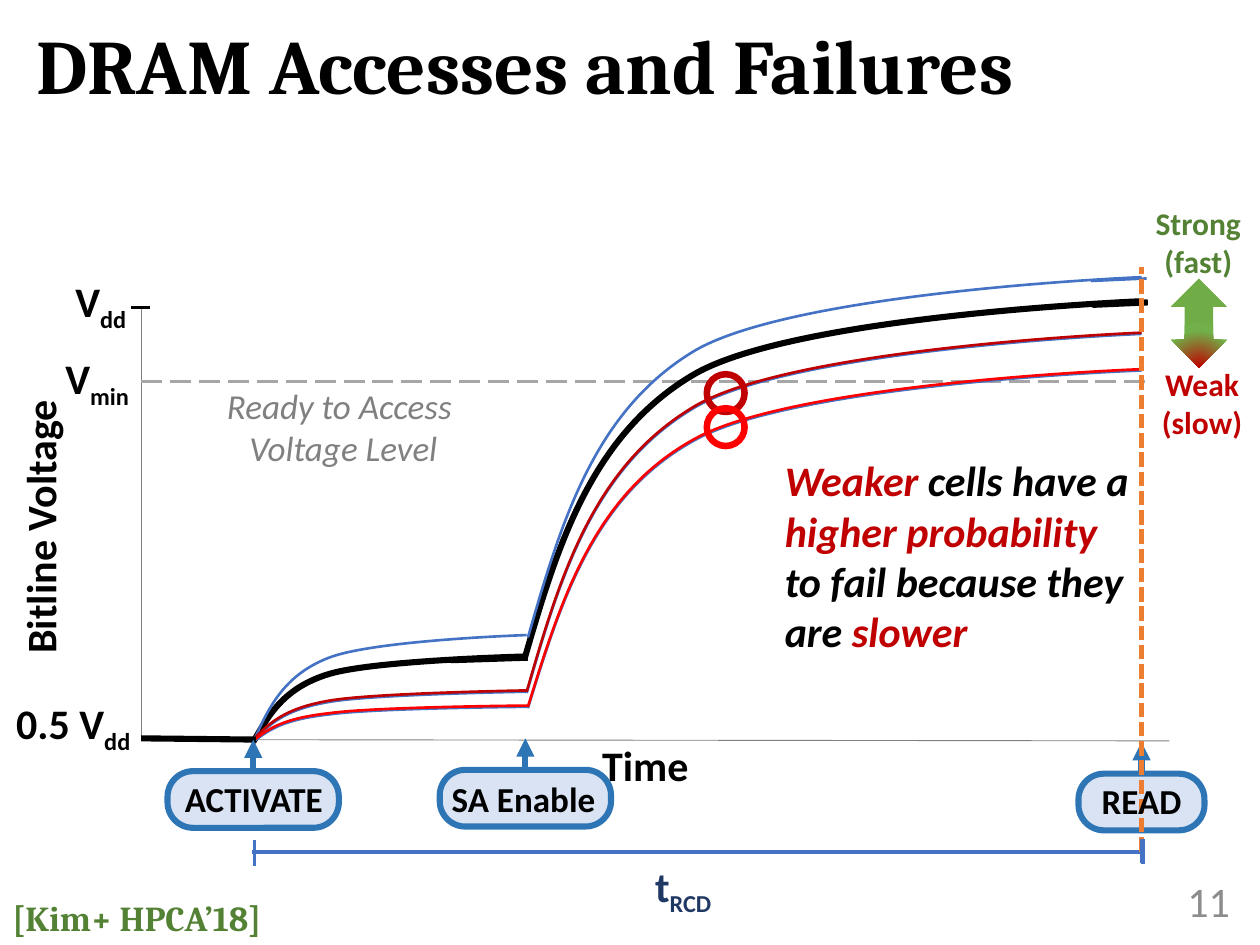
"""Build the slide on DRAM accesses, bitline voltage curves and weak cells."""
from dataclasses import dataclass

from lxml import etree
from pptx import Presentation
from pptx.dml.color import RGBColor
from pptx.enum.dml import MSO_LINE
from pptx.enum.shapes import MSO_CONNECTOR, MSO_SHAPE
from pptx.enum.text import MSO_ANCHOR, PP_ALIGN
from pptx.oxml import parse_xml
from pptx.oxml.ns import nsdecls, qn
from pptx.util import Pt

PX = 9144
STRAIGHT = MSO_CONNECTOR.STRAIGHT
LONG_DASH, SHORT_DASH = MSO_LINE.LONG_DASH, MSO_LINE.SQUARE_DOT
LEFT, CENTER, RIGHT = PP_ALIGN.LEFT, PP_ALIGN.CENTER, PP_ALIGN.RIGHT
TOP, MIDDLE = MSO_ANCHOR.TOP, MSO_ANCHOR.MIDDLE


@dataclass(frozen=True)
class Theme:
    heading: str = "Cambria"
    body: str = "Calibri"
    black: str = "000000"
    axis: str = "808080"
    threshold: str = "A6A6A6"
    page: str = "8C8C8C"
    blue: str = "4472C4"
    navy: str = "203864"
    pill_line: str = "2E75B6"
    pill_fill: str = "DAE3F3"
    orange: str = "ED7D31"
    weak: str = "C00000"
    weakest: str = "FF0000"
    strong: str = "548235"
    arrow_mid: str = "72B149"
    arrow_end: str = "70AD47"
    title_size: int = 44
    label_size: int = 24
    small_size: int = 20
    strength_size: int = 18
    thick: float = 3.5
    thin: float = 1.5
    bracket: float = 2.25


T = Theme()

TYPICAL = [
    [(201, 589), (213, 568), (225, 546), (261, 535), (297, 524), (418, 521), (418, 521)],
    [(416, 524), (442, 434), (469, 345), (551, 297), (632, 250), (907, 239), (907, 239)],
]
STRONG = [
    [(201, 589), (213, 562), (225, 536), (261, 522), (297, 508), (418, 504), (418, 504)],
    [(419, 506), (445, 416), (471, 326), (552, 278), (634, 231), (906, 220), (906, 220)],
]
WEAK = [
    [(203, 585), (214, 574), (226, 562), (262, 556), (298, 550), (418, 548), (418, 548)],
    [(418, 549), (444, 459), (470, 370), (552, 322), (633, 275), (906, 264), (906, 264)],
]
WEAKEST = [
    [(202, 587), (214, 578), (225, 570), (262, 566), (298, 561), (420, 560), (420, 560)],
    [(419, 561), (445, 477), (471, 392), (552, 348), (634, 303), (906, 293), (906, 293)],
]
CURVES = [
    (TYPICAL, T.black, T.thick, 0),
    (STRONG, T.blue, T.thin, 0),
    (WEAK, T.blue, T.thin, 1),
    (WEAKEST, T.blue, T.thin, 1),
    (WEAK, T.weak, T.thin, 0),
    (WEAKEST, T.weakest, T.thin, 0),
]
AXES = [
    ((112, 244), (112, 588), T.axis, 0.5, None),
    ((928, 588), (112, 587), T.axis, 0.5, None),
    ((119, 244), (104, 244), T.black, 1.25, None),
    ((112, 303), (911, 303), T.threshold, T.thin, LONG_DASH),
]
CURVE_ENDS = [
    ((203, 587), (112, 586), T.black, T.thick, None),
    ((358, 524), (419, 522), T.black, T.thick, None),
    ((867, 242), (911, 240), T.black, T.thick, None),
    ((866, 223), (910, 221), T.blue, T.thin, None),
]
TIMING = [
    ((200, 676), (905, 676), T.blue, T.bracket, None),
    ((202, 667), (202, 687), T.blue, T.bracket, None),
    ((907, 666), (907, 686), T.blue, T.bracket, None),
    ((906, 676), (906, 212), T.orange, 2.75, SHORT_DASH),
    ((906, 666), (906, 685), T.blue, T.bracket, None),
]
COMMANDS = [
    ("ACTIVATE", (133, 612, 136, 45), (136, 612, 131, 44)),
    ("SA Enable", (349, 611, 136, 45), (348, 612, 135, 44)),
    ("READ", (856, 614, 100, 45), (864, 614, 84, 44)),
]
FAILURES = [((561, 297, 30, 30), T.weak), ((561, 324, 30, 30), T.weakest)]
VOLTAGES = [
    ("V", "dd", (50, 214, 63, 50), T.black),
    ("V", "min", (42, 275, 75, 50), T.black),
    ("0.5 V", "dd", (3, 549, 113, 50), T.black),
    ("t", "RCD", (510, 678, 71, 50), T.navy),
]
STRENGTHS = [
    (["Weak", "(slow)"], (912, 285, 84, 71), T.weak),
    (["Strong", "(fast)"], (907, 157, 88, 71), T.strong),
]
MESSAGE = [
    ("Weaker ", T.weak), ("cells have a ", T.black), ("higher probability", T.weak),
    (" to fail because they are ", T.black), ("slower", T.weak),
]
ARROW_BOX = (929, 221, 45, 71)
ARROW_STOPS = [(0, T.weak), (70, T.arrow_mid), (100, T.arrow_end)]

deck = Presentation()
deck.slide_width, deck.slide_height = 1000 * PX, 750 * PX
slide = deck.slides.add_slide(deck.slide_layouts[6])
shapes = slide.shapes


def rgb(color):
    return RGBColor.from_string(color)


def scaled(box):
    return [length * PX for length in box]


def stroke(line, color, width):
    line.color.rgb = rgb(color)
    line.width = Pt(width)


def set_font(font, size, color, bold=True, italic=False, face=T.body):
    font.name, font.size, font.bold, font.italic = face, Pt(size), bold, italic
    font.color.rgb = rgb(color)


def segment(start, end, color, width, dash=None, arrow=False):
    connector = shapes.add_connector(STRAIGHT, *scaled(start + end))
    stroke(connector.line, color, width)
    if dash:
        connector.line.dash_style = dash
    properties = connector.line._get_or_add_ln()
    if arrow:
        etree.SubElement(properties, qn("a:tailEnd"), type="triangle")
    etree.SubElement(properties.getparent(), qn("a:effectLst"))


def curve(knots, color, width, drop):
    knots = [(x, y + drop) for x, y in knots]
    builder = shapes.build_freeform(*knots[0], scale=PX)
    builder.add_line_segments(knots[1:], close=False)
    trace = builder.convert_to_shape()
    outline = next(trace._element.iter(qn("a:path")))
    legs = outline.findall(qn("a:lnTo"))
    for first in range(0, len(legs), 3):
        bend = etree.SubElement(outline, qn("a:cubicBezTo"))
        for leg in legs[first:first + 3]:
            bend.append(leg[0])
            outline.remove(leg)
    trace.shadow.inherit = False
    trace.fill.background()
    stroke(trace.line, color, width)


def preset(kind, box):
    shape = shapes.add_shape(kind, *scaled(box))
    shape.shadow.inherit = False
    return shape


def label(lines, box, size, color, align=LEFT, anchor=TOP, wrap=False, spacing=None, **style):
    textbox = shapes.add_textbox(*scaled(box))
    frame = textbox.text_frame
    frame.word_wrap, frame.vertical_anchor = wrap, anchor
    frame.text = "\n".join(lines)
    for paragraph in frame.paragraphs:
        paragraph.alignment, paragraph.line_spacing = align, spacing
        set_font(paragraph.font, size, color, **style)
    return textbox


for axis in AXES:
    segment(*axis)
for phases, color, width, drop in CURVES:
    for phase in phases:
        curve(phase, color, width, drop)
for curve_end in CURVE_ENDS:
    segment(*curve_end)

label(["Time"], (468, 582, 89, 50), T.label_size, T.black)
for command, pill_box, text_box in COMMANDS:
    left, top, width, height = pill_box
    middle = left + width // 2
    segment((middle, top), (middle, top - 25), T.pill_line, T.thick, arrow=True)
    pill = preset(MSO_SHAPE.ROUNDED_RECTANGLE, pill_box)
    pill.adjustments[0] = 0.45
    pill.fill.solid()
    pill.fill.fore_color.rgb = rgb(T.pill_fill)
    stroke(pill.line, T.pill_line, T.thick)
for mark in TIMING:
    segment(*mark)
for command, pill_box, text_box in COMMANDS:
    label([command], text_box, T.small_size, T.black, CENTER)

for base, subscript, box, color in VOLTAGES:
    voltage = label([base], box, T.label_size, color)
    lowered = voltage.text_frame.paragraphs[0].add_run()
    lowered.text = subscript
    lowered._r.get_or_add_rPr().set("baseline", "-25000")
label(["Bitline Voltage"], (-84, 388, 231, 50), T.label_size, T.black).rotation = 270
label(["Ready to Access ", "Voltage Level"], (169, 300, 207, 77), T.small_size, T.axis,
      CENTER, bold=False, italic=True)

message = label([], (613, 356, 299, 172), T.label_size, T.black, wrap=True, italic=True)
for words, color in MESSAGE:
    run = message.text_frame.paragraphs[0].add_run()
    run.text = words
    run.font.color.rgb = rgb(color)
for box, color in FAILURES:
    ring = preset(MSO_SHAPE.OVAL, box)
    ring.fill.background()
    stroke(ring.line, color, 3.75)

for lines, box, color in STRENGTHS:
    label(lines, box, T.strength_size, color, CENTER)
strength_arrow = preset(MSO_SHAPE.UP_DOWN_ARROW, ARROW_BOX)
strength_arrow.adjustments[0], strength_arrow.adjustments[1] = 0.45, 0.5
strength_arrow.line.fill.background()
stops = "".join(f'<a:gs pos="{pos * 1000}"><a:srgbClr val="{color}"/></a:gs>'
                for pos, color in ARROW_STOPS)
strength_arrow._element.spPr.find(qn("a:prstGeom")).addnext(parse_xml(
    f'<a:gradFill {nsdecls("a")}><a:gsLst>{stops}</a:gsLst><a:path path="circle">'
    '<a:fillToRect l="50000" t="130000" r="50000" b="-30000"/></a:path></a:gradFill>'))

label(["DRAM Accesses and Failures"], (19, 15, 952, 81), T.title_size, T.black,
      anchor=MIDDLE, wrap=True, spacing=0.9, face=T.heading)
label(["11"], (706, 695, 280, 40), T.label_size, T.page, RIGHT, MIDDLE, True, bold=False)
label(["[Kim+ HPCA’18]"], (0, 697, 289, 66), T.small_size, T.strong,
      anchor=MIDDLE, wrap=True, spacing=0.9, face=T.heading)

deck.save("out.pptx")
